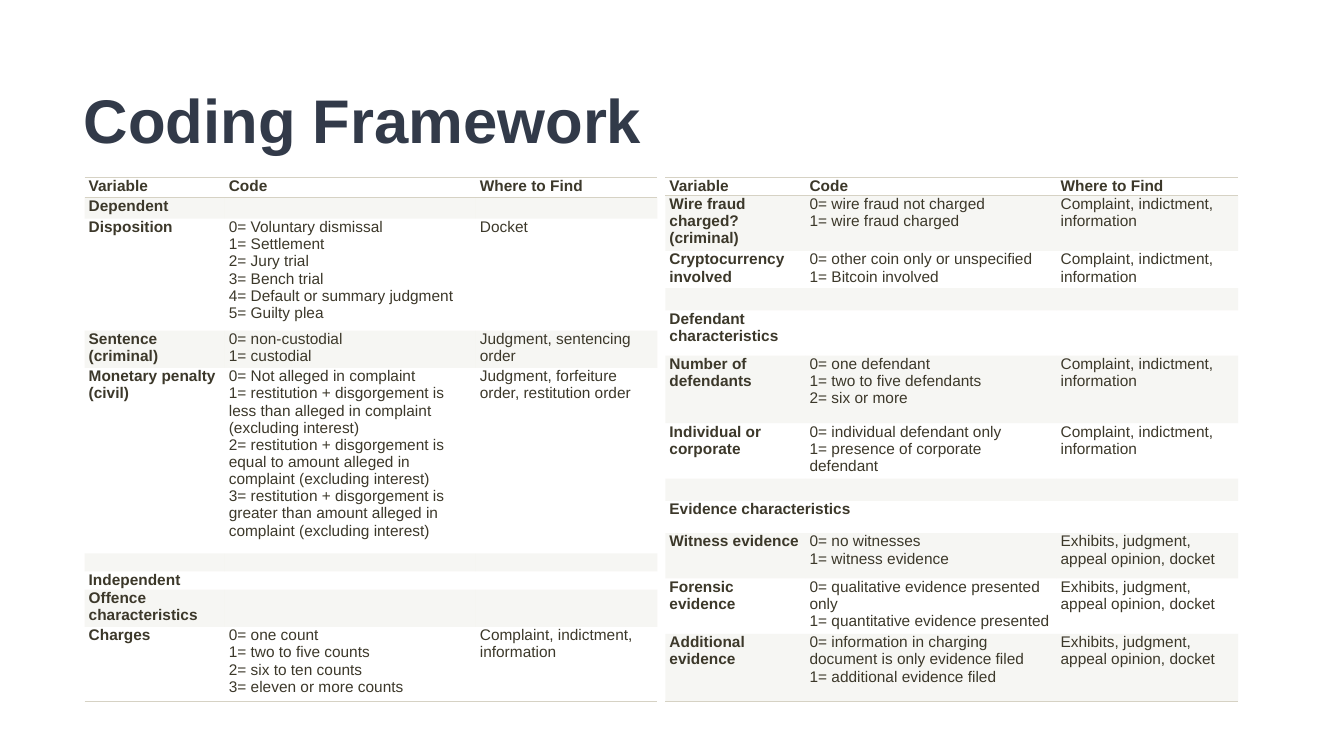
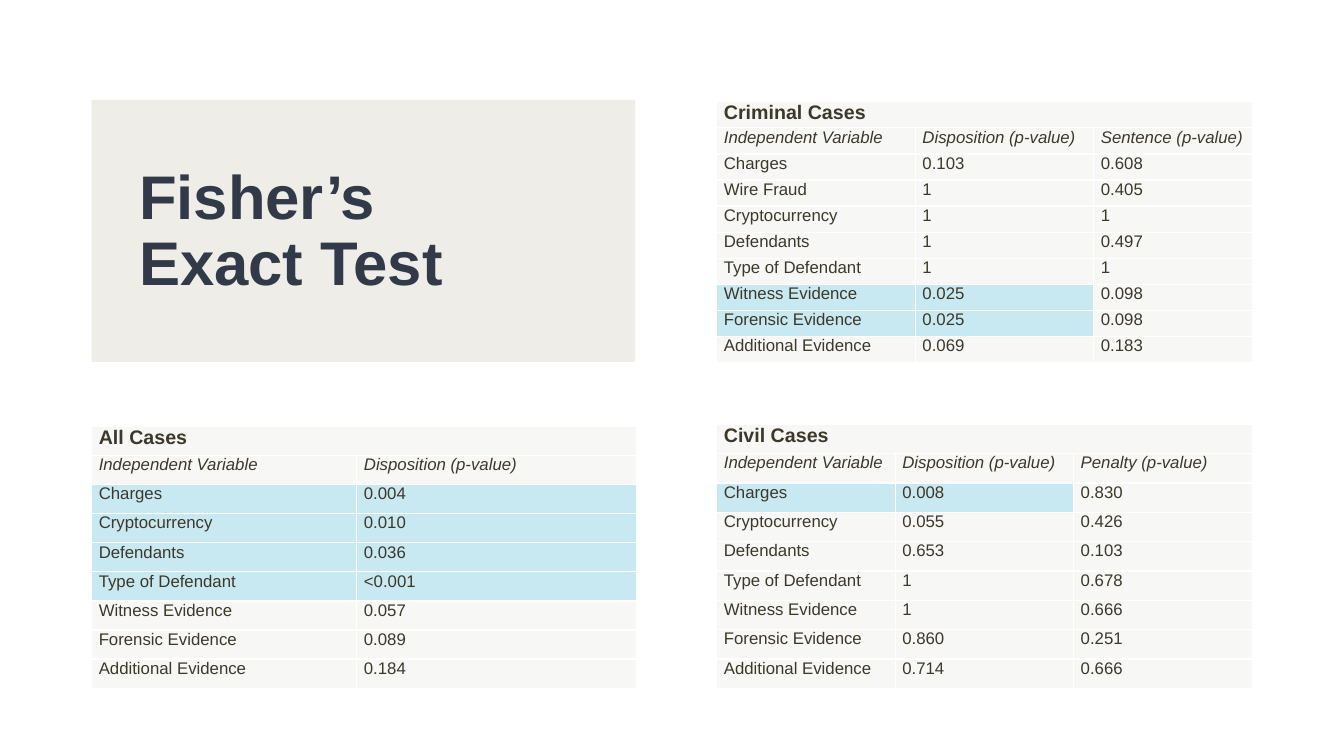
from lxml.etree import SubElement
from pptx import Presentation
from pptx.dml.color import RGBColor
from pptx.enum.shapes import MSO_SHAPE
from pptx.enum.text import MSO_ANCHOR, MSO_AUTO_SIZE, PP_ALIGN
from pptx.oxml.ns import qn
from pptx.util import Inches, Pt

FONT = "Arial"
COLORS = {
    "title": "323A49",
    "text": "3C382A",
    "sand": "D6D2C4",
    "panel": "EFEDE7",
    "cell": "F7F7F5",
    "highlight": "C8E9F1",
    "white": "FFFFFF",
}
NO_STYLE = "{2D5ABB26-0587-4C30-8999-92F81FD0307C}"
BAND_ALPHA = "20000"

CODING_COLS = [1.39, 2.49, 1.8]
CODING_HEADER = ("Variable", "Code", "Where to Find")
EMPTY = ("", "", "")
CHARGING = "Complaint, indictment, information"
EXHIBITS = "Exhibits, judgment, appeal opinion, docket"

OUTCOME_ROWS = [
    (0.2, CODING_HEADER),
    (0.21, ("Dependent", "", "")),
    (1.11, ("Disposition",
            "0= Voluntary dismissal\n1= Settlement\n2= Jury trial\n3= Bench trial\n"
            "4= Default or summary judgment\n5= Guilty plea", "Docket")),
    (0.37, ("Sentence (criminal)", "0= non-custodial\n1= custodial",
            "Judgment, sentencing order")),
    (1.84, ("Monetary penalty (civil)",
            "0= Not alleged in complaint\n"
            "1= restitution + disgorgement is less than alleged in complaint (excluding interest)\n"
            "2= restitution + disgorgement is equal to amount alleged in complaint (excluding interest)\n"
            "3= restitution + disgorgement is greater than amount alleged in complaint (excluding interest)",
            "Judgment, forfeiture order, restitution order")),
    (0.18, EMPTY),
    (0.18, ("Independent", "", "")),
    (0.37, ("Offence characteristics", "", "")),
    (0.74, ("Charges",
            "0= one count\n1= two to five counts\n2= six to ten counts\n3= eleven or more counts",
            CHARGING)),
]

CHARACTERISTIC_ROWS = [
    (0.18, CODING_HEADER),
    (0.55, ("Wire fraud charged? (criminal)",
            "0= wire fraud not charged\n1= wire fraud charged", CHARGING)),
    (0.37, ("Cryptocurrency involved",
            "0= other coin only or unspecified\n1= Bitcoin involved", CHARGING)),
    (0.22, EMPTY),
    (0.45, ("Defendant characteristics", "", "")),
    (0.67, ("Number of defendants",
            "0= one defendant\n1= two to five defendants\n2= six or more", CHARGING)),
    (0.55, ("Individual or corporate",
            "0= individual defendant only\n1= presence of corporate defendant", CHARGING)),
    (0.22, EMPTY),
    (0.32, ("Evidence characteristics", "", "")),
    (0.45, ("Witness evidence", "0= no witnesses\n1= witness evidence", EXHIBITS)),
    (0.55, ("Forensic evidence",
            "0= qualitative evidence presented only\n1= quantitative evidence presented", EXHIBITS)),
    (0.67, ("Additional evidence",
            "0= information in charging document is only evidence filed\n"
            "1= additional evidence filed", EXHIBITS)),
]
EVIDENCE_HEADING_ROW = 8

VARIABLE = "Independent Variable"
DISPOSITION = "Disposition (p-value)"

ALL_CASES = [
    ("All Cases", ""),
    (VARIABLE, DISPOSITION),
    ("Charges", "0.004"),
    ("Cryptocurrency", "0.010"),
    ("Defendants", "0.036"),
    ("Type of Defendant", "<0.001"),
    ("Witness Evidence", "0.057"),
    ("Forensic Evidence", "0.089"),
    ("Additional Evidence", "0.184"),
]

CRIMINAL_CASES = [
    ("Criminal Cases", "", ""),
    (VARIABLE, DISPOSITION, "Sentence (p-value)"),
    ("Charges", "0.103", "0.608"),
    ("Wire Fraud", "1", "0.405"),
    ("Cryptocurrency", "1", "1"),
    ("Defendants", "1", "0.497"),
    ("Type of Defendant", "1", "1"),
    ("Witness Evidence", "0.025", "0.098"),
    ("Forensic Evidence", "0.025", "0.098"),
    ("Additional Evidence", "0.069", "0.183"),
]

CIVIL_CASES = [
    ("Civil Cases", "", ""),
    (VARIABLE, DISPOSITION, "Penalty (p-value)"),
    ("Charges", "0.008", "0.830"),
    ("Cryptocurrency", "0.055", "0.426"),
    ("Defendants", "0.653", "0.103"),
    ("Type of Defendant", "1", "0.678"),
    ("Witness Evidence", "1", "0.666"),
    ("Forensic Evidence", "0.860", "0.251"),
    ("Additional Evidence", "0.714", "0.666"),
]


def rgb(name):
    return RGBColor.from_string(COLORS[name])


def set_font(p, size, color, bold=False, italic=False):
    f = p.font
    f.name, f.size, f.bold, f.italic = FONT, Pt(size), bold, italic
    f.color.rgb = rgb(color)


def add_title_slide(prs, text, left, top, width, height):
    s = prs.slides.add_slide(prs.slide_layouts[5])
    title = s.shapes.title
    title.left, title.top = Inches(left), Inches(top)
    title.width, title.height = Inches(width), Inches(height)
    tf = title.text_frame
    tf.text = text
    tf.word_wrap = True
    tf.auto_size = MSO_AUTO_SIZE.NONE
    tf.vertical_anchor = MSO_ANCHOR.MIDDLE
    tf.margin_left = tf.margin_top = tf.margin_right = tf.margin_bottom = 0
    p = tf.paragraphs[0]
    p.alignment = PP_ALIGN.LEFT
    p.line_spacing = 0.9
    set_font(p, 44, "title", bold=True)
    return s


def add_grid(s, left, top, cols, heights):
    frame = s.shapes.add_table(len(heights), len(cols), Inches(left), Inches(top),
                               Inches(sum(cols)), Inches(sum(heights)))
    table = frame.table
    table.first_row = table.horz_banding = False
    frame._element.graphic.graphicData.tbl.tblPr.find(qn("a:tableStyleId")).text = NO_STYLE
    for column, width in zip(table.columns, cols):
        column.width = Inches(width)
    for row, height in zip(table.rows, heights):
        row.height = Inches(height)
    return table


def write_cell(cell, text, margin, size, bold=False, italic=False):
    cell.margin_left = cell.margin_right = Inches(margin)
    cell.margin_top = cell.margin_bottom = 0
    cell.text_frame.text = text
    for p in cell.text_frame.paragraphs:
        set_font(p, size, "text", bold, italic)
        if not text:
            SubElement(p._p, qn("a:endParaRPr"), sz=str(size * 100))


def set_borders(cell, sides, color):
    tcPr = cell._tc.get_or_add_tcPr()
    for side in sides:
        ln = SubElement(tcPr, qn(f"a:ln{side}"), w=str(Pt(1)))
        fill = SubElement(ln, qn("a:solidFill"))
        SubElement(fill, qn("a:srgbClr"), val=COLORS[color])


def fill_cell(cell, color, alpha=None):
    cell.fill.solid()
    cell.fill.fore_color.rgb = rgb(color)
    if alpha:
        clr = cell._tc.tcPr.find(qn("a:solidFill")).find(qn("a:srgbClr"))
        SubElement(clr, qn("a:alpha"), val=alpha)


def add_coding_table(s, left, rows):
    table = add_grid(s, left, 1.76, CODING_COLS, [height for height, _ in rows])
    last = len(rows) - 1
    for i, (_, texts) in enumerate(rows):
        for j, text in enumerate(texts):
            cell = table.cell(i, j)
            write_cell(cell, text, 0.04, 11, bold=i == 0 or j == 0)
            set_borders(cell, {0: "TB", last: "B"}.get(i, ""), "sand")
            if i % 2:
                fill_cell(cell, "sand", BAND_ALPHA)
            else:
                cell.fill.background()
    return table


def add_p_value_table(s, left, top, height, cols, rows, significant):
    table = add_grid(s, left, top, cols, [height / len(rows)] * len(rows))
    for i, texts in enumerate(rows):
        for j, text in enumerate(texts):
            cell = table.cell(i, j)
            write_cell(cell, text, 0.07, 12 if i else 14, bold=i == 0, italic=i == 1)
            set_borders(cell, "LRTB", "white")
            marked = texts[0] in significant and j < 2
            fill_cell(cell, "highlight" if marked else "cell")
    table.cell(0, 0).merge(table.cell(0, len(cols) - 1))


def add_title_panel(s, left, top, width, height):
    panel = s.shapes.add_shape(MSO_SHAPE.RECTANGLE, Inches(left), Inches(top),
                               Inches(width), Inches(height))
    panel.shadow.inherit = False
    panel.fill.solid()
    panel.fill.fore_color.rgb = rgb("panel")
    panel.line.fill.background()
    s.shapes._spTree.insert(2, panel._element)


def build_coding_slide(prs):
    s = add_title_slide(prs, "Coding Framework", 0.83, 0.86, 5.71, 0.73)
    add_coding_table(s, 0.84, OUTCOME_ROWS)
    table = add_coding_table(s, 6.6, CHARACTERISTIC_ROWS)
    table.cell(EVIDENCE_HEADING_ROW, 0).merge(table.cell(EVIDENCE_HEADING_ROW, 2))


def build_fisher_slide(prs):
    s = add_title_slide(prs, "Fisher’s\vExact Test", 1.38, 1.67, 4.9, 1.27)
    add_title_panel(s, 0.91, 0.99, 5.39, 2.6)
    add_p_value_table(s, 0.91, 4.23, 2.6, [2.63, 2.77], ALL_CASES,
                      {"Charges", "Cryptocurrency", "Defendants", "Type of Defendant"})
    add_p_value_table(s, 7.11, 1.01, 2.59, [1.97, 1.77, 1.57], CRIMINAL_CASES,
                      {"Witness Evidence", "Forensic Evidence"})
    add_p_value_table(s, 7.11, 4.21, 2.62, [1.77] * 3, CIVIL_CASES, {"Charges"})


def main():
    prs = Presentation()
    prs.slide_width, prs.slide_height = Inches(13.33), Inches(7.5)
    build_coding_slide(prs)
    build_fisher_slide(prs)
    prs.save("out.pptx")


if __name__ == "__main__":
    main()
